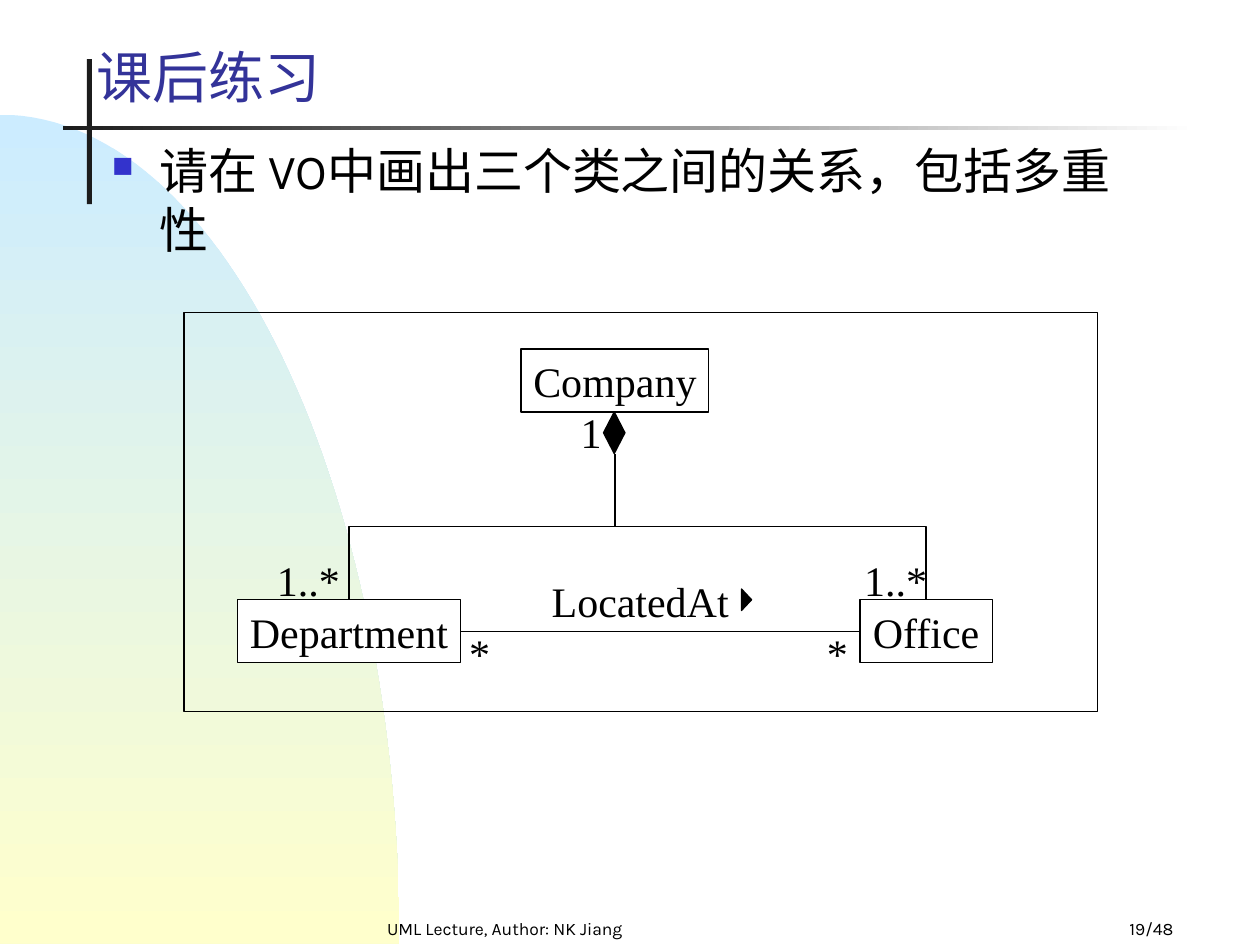
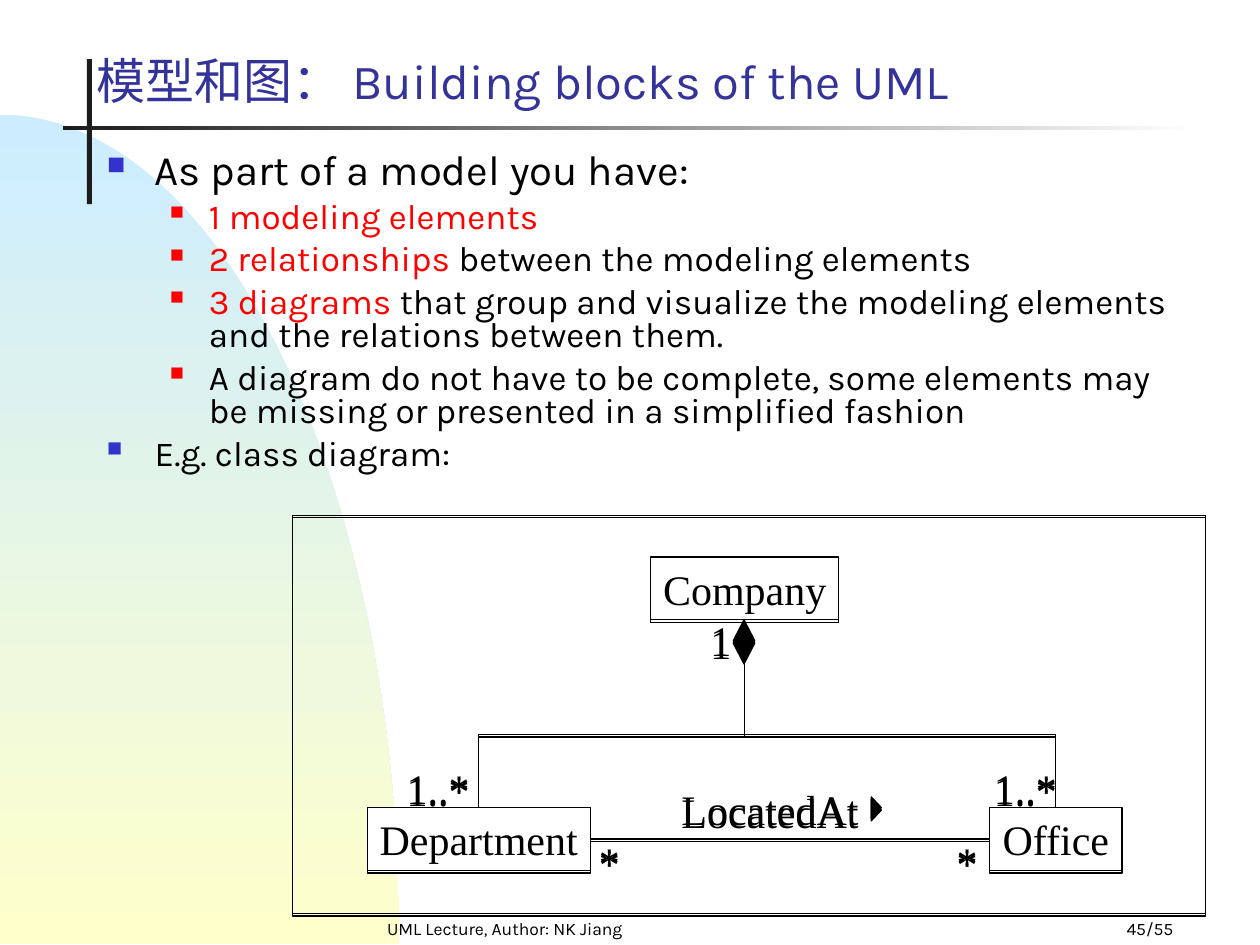
from lxml import etree
from pptx import Presentation
from pptx.dml.color import RGBColor
from pptx.enum.shapes import MSO_CONNECTOR, MSO_SHAPE
from pptx.enum.text import MSO_ANCHOR, MSO_AUTO_SIZE, PP_ALIGN
from pptx.oxml.ns import qn
from pptx.util import Inches, Pt

RECT, DIAMOND, TRIANGLE = MSO_SHAPE.RECTANGLE, MSO_SHAPE.DIAMOND, MSO_SHAPE.ISOSCELES_TRIANGLE
STRAIGHT, ELBOW = MSO_CONNECTOR.STRAIGHT, MSO_CONNECTOR.ELBOW
TOP, MIDDLE, BOTTOM = MSO_ANCHOR.TOP, MSO_ANCHOR.MIDDLE, MSO_ANCHOR.BOTTOM
LEFT, CENTER, RIGHT = PP_ALIGN.LEFT, PP_ALIGN.CENTER, PP_ALIGN.RIGHT
GROW = MSO_AUTO_SIZE.SHAPE_TO_FIT_TEXT

# The slide is a grid of square cells
COLUMNS, ROWS, CELL = 10, 7.5, 1
BLACK, WHITE, INK, RED = "000000", "FFFFFF", "1C1C1C", "FF0000"
TITLE_BLUE, BULLET_BLUE = "333399", "3333CC"
SKY, CREAM = "CCECFF", "FFFFCC"
SANS, SERIF = "Karla", "Times New Roman"

# Per outline level: left margin, hanging indent, bullet colour, bullet size in %
LEVELS = [(0.38, 0.38, BULLET_BLUE, 60), (0.81, 0.31, RED, 55)]


def color(value):
    return RGBColor.from_string(value)


def cells(*counts):
    return [Inches(count * CELL) for count in counts]


def set_font(font, size, name=SANS, ink=BLACK):
    font.size, font.name = Pt(size), name
    font.color.rgb = color(ink)


def set_gradient(fill, first, last, angle):
    fill.gradient()
    fill.gradient_angle = angle
    for stop, position, value in zip(fill.gradient_stops, (0, 1), (first, last)):
        stop.position = position
        stop.color.rgb = color(value)


def add_block(slide, kind, area, fill=None, outline=None):
    block = slide.shapes.add_shape(kind, *cells(*area))
    block.shadow.inherit = False
    if fill:
        block.fill.solid()
        block.fill.fore_color.rgb = color(fill)
    else:
        block.fill.background()
    if outline:
        block.line.color.rgb = color(outline)
        block.line.width = Pt(0.75)
    else:
        block.line.fill.background()
    return block


def write(frame, text, size, name=SANS, ink=BLACK, align=LEFT, anchor=TOP, wrap=True):
    frame.word_wrap = wrap
    frame.vertical_anchor = anchor
    if not wrap:
        # Slimmer side margins keep a tight one-line text on its line
        frame.auto_size = GROW
        frame.margin_right = 0
        if align == CENTER:
            frame.margin_left = 0
    line = frame.paragraphs[0]
    line.text, line.alignment = text, align
    set_font(line.font, size, name, ink)


def add_text(slide, area, text, size, **style):
    frame = slide.shapes.add_textbox(*cells(*area)).text_frame
    write(frame, text, size, **style)


def add_line(slide, kind, start, end):
    line = slide.shapes.add_connector(kind, *cells(*start, *end))
    line.line.color.rgb = color(BLACK)
    line.line.width = Pt(0.75)
    etree.SubElement(line._element.spPr, qn("a:effectLst"))
    return line


# Shared background, title and footer
def add_hill(slide):
    top, right, bottom = 0.91, 3.17, 7.49
    steps = 60
    curve = []
    for step in range(1, steps + 1):
        t = step / steps
        u = 1 - t
        x = 3 * u * u * t * 1.75 + 3 * u * t * t * right + t ** 3 * right
        y = (u ** 3 + 3 * u * u * t) * top + 3 * u * t * t * 3.86 + t ** 3 * bottom
        curve.append(cells(x, y))
    outline = slide.shapes.build_freeform(*cells(0, top))
    outline.add_line_segments(curve + [cells(0, bottom)], close=True)
    hill = outline.convert_to_shape()
    hill.shadow.inherit = False
    hill.line.fill.background()
    set_gradient(hill.fill, SKY, CREAM, 270)


def add_page(deck, title, title_size, title_width, page_number):
    slide = deck.slides.add_slide(deck.slide_layouts[6])
    add_hill(slide)
    add_block(slide, RECT, (0.69, 0.47, 0.04, 1.15), INK)
    rule = add_block(slide, RECT, (0.5, 1, 9, 0.03), INK)
    set_gradient(rule.fill, INK, WHITE, 0)
    add_text(slide, (2.42, 7.17, 3.17, 0.33), "UML Lecture, Author: NK Jiang", 10,
             align=CENTER, anchor=BOTTOM)
    add_text(slide, (7.33, 7.17, 2.08, 0.33), page_number, 10, align=RIGHT, anchor=BOTTOM)
    add_text(slide, (0.67, 0.17, title_width, 0.75), title, title_size,
             ink=TITLE_BLUE, anchor=BOTTOM)
    return slide


# Bulleted outline
def set_bullet(paragraph, level):
    margin, hanging, ink, percent = LEVELS[level]
    props = paragraph._p.get_or_add_pPr()
    props.set("marL", str(Inches(margin)))
    props.set("indent", str(-Inches(hanging)))
    tint = etree.SubElement(props, qn("a:buClr"))
    etree.SubElement(tint, qn("a:srgbClr"), val=ink)
    etree.SubElement(props, qn("a:buSzPct"), val=str(percent * 1000))
    etree.SubElement(props, qn("a:buChar"), char="■")


def add_outline(slide, area, items, spacing=None):
    """Each item is level, size, space before, red lead, remaining text."""
    frame = slide.shapes.add_textbox(*cells(*area)).text_frame
    frame.word_wrap = True
    for index, (level, size, before, lead, rest) in enumerate(items):
        paragraph = frame.add_paragraph() if index else frame.paragraphs[0]
        paragraph.level = level
        set_bullet(paragraph, level)
        paragraph.space_before = Pt(before)
        if spacing:
            paragraph.line_spacing = spacing
        set_font(paragraph.font, size)
        if lead:
            run = paragraph.add_run()
            run.text = lead
            run.font.color.rgb = color(RED)
        if rest:
            paragraph.add_run().text = rest


# Class diagram
def add_class(slide, center, top, width, name):
    box = add_block(slide, RECT, (center - width / 2, top, width, 0.5), WHITE, BLACK)
    write(box.text_frame, name, 24, SERIF, align=CENTER, anchor=MIDDLE, wrap=False)


def add_label(slide, x, y, width, text):
    add_text(slide, (x, y, width, 0.5), text, 24, name=SERIF, wrap=False)


def add_branch(slide, start, end):
    """Elbow that leaves downwards, runs sideways and arrives downwards."""
    (x1, y1), (x2, y2) = start, end
    mid_x, mid_y = (x1 + x2) / 2, (y1 + y2) / 2
    half_drop, half_run = (y2 - y1) / 2, abs(x2 - x1) / 2
    branch = add_line(slide, ELBOW, (mid_x - half_drop, mid_y - half_run),
                      (mid_x + half_drop, mid_y + half_run))
    turn = branch._element.spPr.find(qn("a:xfrm"))
    turn.set("rot", str((90 if x2 < x1 else 270) * 60000))
    if x2 > x1:
        turn.set("flipH", "1")


def add_class_diagram(slide, hub, top, frame_area):
    department, office = hub - 2.11, hub + 2.47
    department_width, office_width = 1.77, 1.05
    department_edge = department + department_width / 2
    office_edge = office - office_width / 2
    parts_top = top + 1.99

    add_class(slide, hub, top, 1.49, "Company")
    add_class(slide, department, parts_top, department_width, "Department")
    add_class(slide, office, parts_top, office_width, "Office")

    # Association between the parts
    middle = parts_top + 0.25
    add_line(slide, STRAIGHT, (department_edge, middle), (office_edge, middle))
    add_label(slide, hub - 0.6, top + 1.75, 1.6, "LocatedAt")
    pointer = add_block(slide, TRIANGLE, (hub + 0.96, top + 1.95, 0.17, 0.08), BLACK, BLACK)
    pointer.rotation = 90

    # Composition
    add_block(slide, DIAMOND, (hub - 0.09, top + 0.5, 0.17, 0.33), BLACK, BLACK)
    for part in (department, office):
        add_branch(slide, (hub, top + 0.83), (part, parts_top))

    # Multiplicities
    for x, y, width, text in [
        (department_edge - 0.03, 2.16, 0.36, "*"),
        (hub - 0.37, 0.41, 0.36, "1"),
        (department - 0.67, 1.58, 0.7, "1..*"),
        (office - 0.59, 1.58, 0.7, "1..*"),
        (office_edge - 0.36, 2.16, 0.36, "*"),
    ]:
        add_label(slide, x, top + y, width, text)
    add_block(slide, RECT, frame_area, outline=BLACK)


def main():
    deck = Presentation()
    deck.slide_width, deck.slide_height = cells(COLUMNS, ROWS)

    # Exercise
    exercise = add_page(deck, "课后练习", 32, 7.08, "19/48")
    add_outline(exercise, (0.79, 1.07, 8.22, 2.13), [
        (0, 28, 7, "", "请在 VO中画出三个类之间的关系，包括多重性"),
    ])
    add_class_diagram(exercise, 4.88, 2.77, (1.46, 2.48, 7.25, 3.17))

    # Models and diagrams
    models = add_page(deck, "模型和图： Building blocks of the UML", 28, 7.64, "45/55")
    add_outline(models, (0.75, 1.17, 8.83, 2.74), [
        (0, 24, 6, "", "As part of a model you have:"),
        (1, 20, 5, "1 modeling elements", ""),
        (1, 20, 5, "2 relationships ", "between the modeling elements"),
        (1, 20, 5, "3 diagrams ", "that group and visualize the modeling elements "
                                  "and the relations between them."),
        (1, 20, 5, "", "A diagram do not have to be complete, some elements may be "
                       "missing or presented in a simplified fashion"),
        (0, 20, 5, "", "E.g. class diagram:"),
    ], spacing=0.8)
    # Two layers, the front one slightly higher, give the doubled strokes
    for top in (4.44, 4.42):
        add_class_diagram(models, 5.91, top, (2.32, top - 0.33, 7.25, 3.16))

    deck.save("out.pptx")


if __name__ == "__main__":
    main()
